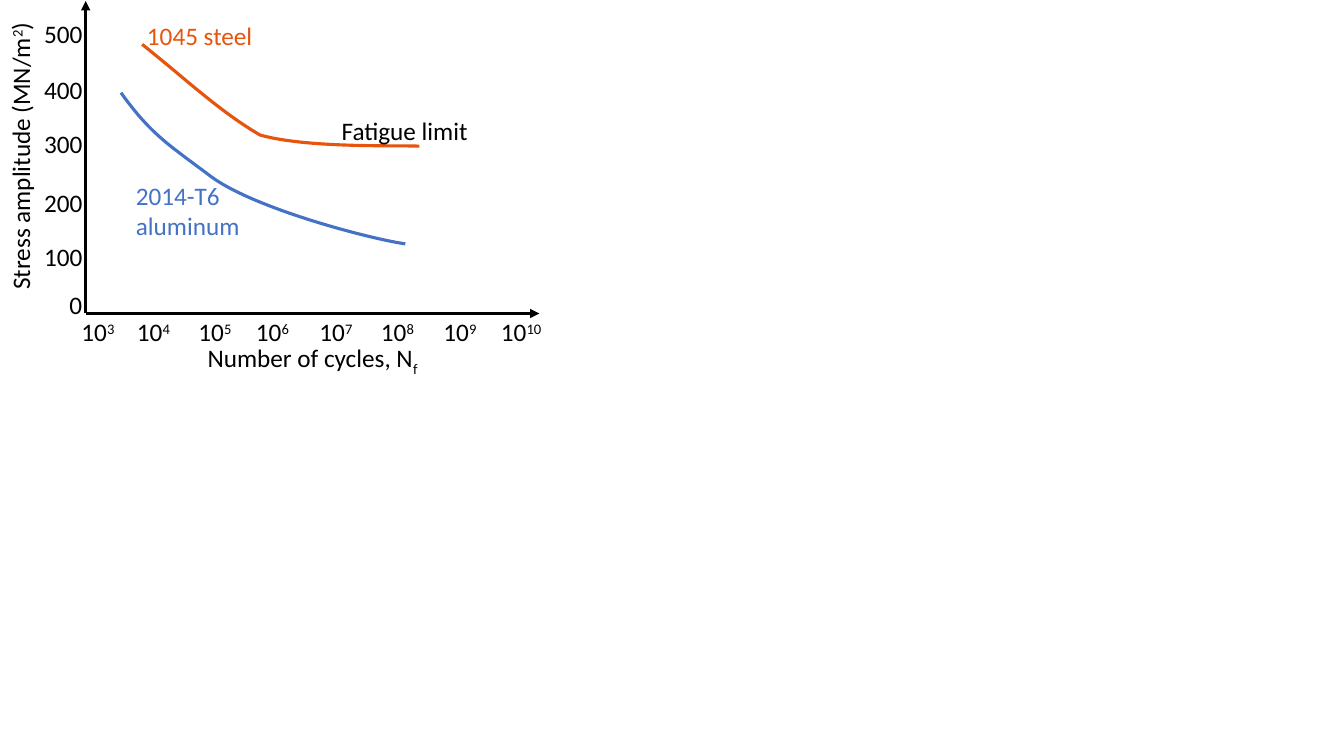
"""Build a slide with the fatigue curves of steel and aluminum."""
from dataclasses import dataclass

from lxml import etree
from pptx import Presentation
from pptx.dml.color import RGBColor
from pptx.enum.shapes import MSO_CONNECTOR
from pptx.enum.text import MSO_AUTO_SIZE, PP_ALIGN
from pptx.oxml.ns import qn
from pptx.util import Inches, Pt

STRAIGHT = MSO_CONNECTOR.STRAIGHT
LEFT, CENTER = PP_ALIGN.LEFT, PP_ALIGN.CENTER
GROW = MSO_AUTO_SIZE.SHAPE_TO_FIT_TEXT
SUPERSCRIPT, SUBSCRIPT = 30000, -25000


@dataclass(frozen=True)
class Theme:
    ink: RGBColor = RGBColor(0x00, 0x00, 0x00)
    steel: RGBColor = RGBColor(0xE6, 0x54, 0x0D)
    aluminum: RGBColor = RGBColor(0x44, 0x72, 0xC4)
    font: str = "Calibri"
    text_size: Pt = Pt(18)
    line_width: Pt = Pt(2.25)


theme = Theme()
prs = Presentation()
prs.slide_width, prs.slide_height = Inches(13.33), Inches(7.5)
slide = prs.slides.add_slide(prs.slide_layouts[6])
diagram = slide.shapes.add_group_shape().shapes


def add_label(parts, left, top, width, height=0.4, color=theme.ink, align=LEFT):
    """Add a text box whose parts are (text, baseline) pairs."""
    label = diagram.add_textbox(Inches(left), Inches(top), Inches(width), Inches(height))
    label.text_frame.word_wrap = True
    label.text_frame.auto_size = GROW
    paragraph = label.text_frame.paragraphs[0]
    paragraph.alignment = align
    paragraph.font.name = theme.font
    paragraph.font.size = theme.text_size
    paragraph.font.color.rgb = color
    for text, baseline in parts:
        run = paragraph.add_run()
        run.text = text
        if baseline:
            run.font._element.set("baseline", str(baseline))
    return label


def bezier_point(points, t):
    """Return the point at t on a cubic curve, in EMU."""
    weights = ((1 - t) ** 3, 3 * t * (1 - t) ** 2, 3 * t ** 2 * (1 - t), t ** 3)
    return tuple(Inches(sum(w * p[axis] for w, p in zip(weights, points))) for axis in (0, 1))


STEPS = 24
fatigue_curves = [
    (theme.steel, [(1.41, 0.44), (1.85, 0.79), (2.17, 1.1), (2.58, 1.34),
                   (3.05, 1.47), (3.9, 1.44), (4.16, 1.45)]),
    (theme.aluminum, [(1.2, 0.92), (1.5, 1.34), (1.68, 1.44), (2.09, 1.75),
                      (2.52, 2.07), (3.67, 2.37), (4.02, 2.42)]),
]
for color, controls in fatigue_curves:
    outline = [bezier_point(controls[start:start + 4], step / STEPS)
               for start in (0, 3) for step in range(1, STEPS + 1)]
    builder = diagram.build_freeform(*bezier_point(controls[:4], 0))
    builder.add_line_segments(outline, close=False)
    curve = builder.convert_to_shape()
    curve.shadow.inherit = False
    curve.fill.background()
    curve.line.color.rgb = color
    curve.line.width = theme.line_width

origin_x, origin_y = 0.85, 3.11
for end_x, end_y in [(origin_x, 0.01), (5.35, origin_y)]:
    axis = diagram.add_connector(STRAIGHT, Inches(origin_x), Inches(origin_y),
                                 Inches(end_x), Inches(end_y))
    axis.line.color.rgb = theme.ink
    axis.line.width = theme.line_width
    etree.SubElement(axis.line._get_or_add_ln(), qn("a:tailEnd"), type="triangle")
    etree.SubElement(axis._element.spPr, qn("a:effectLst"))

stress_tops = {500: 0.13, 400: 0.69, 300: 1.22, 200: 1.81, 100: 2.34, 0: 2.82}
for stress, top in stress_tops.items():
    width = 0.67 if stress else 0.42
    add_label([(str(stress), 0)], 1.01 - width, top, width)

add_label([("1045 steel", 0)], 1.36, 0.15, 1.37, color=theme.steel)
add_label([("2014-T6 aluminum", 0)], 1.25, 1.74, 1.37, 0.71, theme.aluminum)
add_label([("Fatigue limit", 0)], 3.29, 1.09, 1.65)

stress_title = add_label([("Stress amplitude (MN/m", 0), ("2", SUPERSCRIPT), (")", 0)],
                         -1.35, 1.35, 3.1, align=CENTER)
stress_title.rotation = 270

cycle_lefts = [0.71, 1.26, 1.87, 2.44, 3.07, 3.68, 4.3, 4.87]
for exponent, left in enumerate(cycle_lefts, start=3):
    add_label([("10", 0), (str(exponent), SUPERSCRIPT)], left, 3.09,
              0.68 if exponent == 10 else 0.58)

add_label([("Number of cycles, N", 0), ("f", SUBSCRIPT)], 0.85, 3.35, 4.5, align=CENTER)

prs.save("out.pptx")
